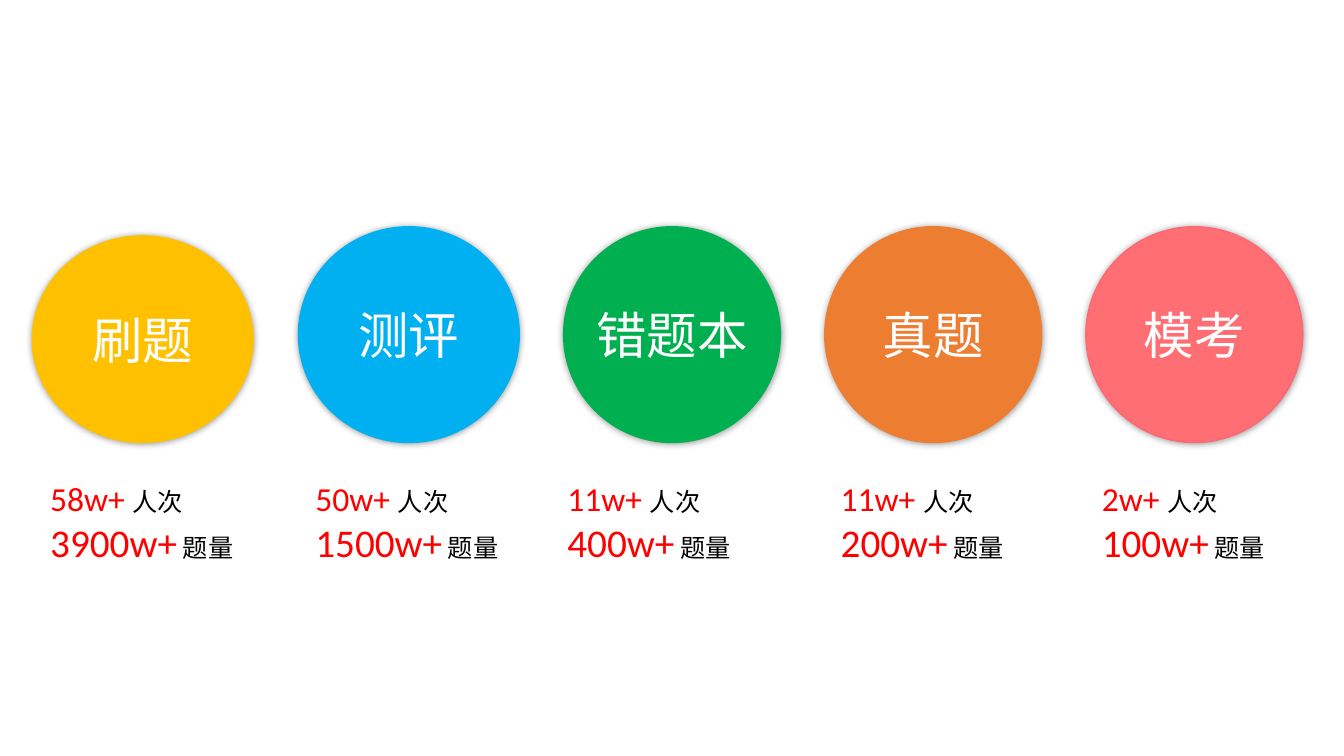
from dataclasses import dataclass
from lxml import etree
from pptx import Presentation
from pptx.dml.color import RGBColor
from pptx.enum import shapes, text
from pptx.oxml import parse_xml
from pptx.oxml.ns import nsdecls, qn
from pptx.util import Inches, Pt


@dataclass(frozen=True)
class Theme:
    latin: str = "Calibri"
    chinese: str = "Noto Sans CJK SC"
    white: str = "FFFFFF"
    black: str = "000000"
    red: str = "FF0000"
    heading: int = 36
    visits: int = 24
    questions: int = 28
    unit: int = 18


theme = Theme()
BOTTOM = 4.39
SHADOW = (
    f'<a:effectLst {nsdecls("a")}><a:outerShdw blurRad="{Pt(5)}" dist="0" dir="0">'
    f'<a:srgbClr val="{theme.black}"><a:alpha val="40000"/></a:srgbClr>'
    '</a:outerShdw></a:effectLst>'
)


def add_span(para, words, size, color, latin):
    span = para.add_run()
    span.text = words
    span.font.size = Pt(size)
    span.font.color.rgb = RGBColor.from_string(color)
    span.font.name = latin
    east_asian = etree.SubElement(span.font._element, qn("a:ea"))
    east_asian.set("typeface", theme.chinese)


deck = Presentation()
deck.slide_width, deck.slide_height = Inches(13.33), Inches(7.5)
page = deck.slides.add_slide(deck.slide_layouts[6])

features = [
    ("刷题", 0.32, 2.19, 2.05, "FFC000", "FFC000", 0.4, 2.04, "58w+", "3900w+"),
    ("测评", 2.96, 2.19, 2.14, "00B0F0", "00B0F0", 3.03, 2.04, "50w+", "1500w+"),
    ("错题本", 5.59, 2.15, 2.14, "00B050", "00B050", 5.53, 1.84, "11w+", "400w+"),
    ("真题", 8.18, 2.15, 2.14, "ED7D31", "ED7D31", 8.24, 1.84, "11w+", "200w+"),
    ("模考", 10.77, 2.15, 2.14, "FF6E73", "FF6572", 10.83, 1.84, "2w+", "100w+"),
]

for name, left, width, height, fill, outline, text_left, text_width, visits, questions in features:
    circle = page.shapes.add_shape(
        shapes.MSO_SHAPE.OVAL, Inches(left), Inches(BOTTOM - height), Inches(width), Inches(height)
    )
    circle.fill.solid()
    circle.fill.fore_color.rgb = RGBColor.from_string(fill)
    circle.line.color.rgb = RGBColor.from_string(outline)
    circle.line.width = Pt(1)
    circle._element.spPr.append(parse_xml(SHADOW))
    frame = circle.text_frame
    frame.margin_left = frame.margin_right = frame.margin_top = frame.margin_bottom = 0
    frame.vertical_anchor = text.MSO_ANCHOR.MIDDLE
    para = frame.paragraphs[0]
    para.alignment = text.PP_ALIGN.CENTER
    add_span(para, name, theme.heading, theme.white, theme.chinese)

    box = page.shapes.add_textbox(Inches(text_left), Inches(4.69), Inches(text_width), Inches(0.98))
    box.text_frame.word_wrap = True
    para = box.text_frame.paragraphs[0]
    add_span(para, f"{visits} ", theme.visits, theme.red, theme.latin)
    add_span(para, "人次", theme.unit, theme.black, theme.latin)
    para = box.text_frame.add_paragraph()
    add_span(para, questions, theme.questions, theme.red, theme.latin)
    add_span(para, " 题量", theme.unit, theme.black, theme.latin)

deck.save("out.pptx")
